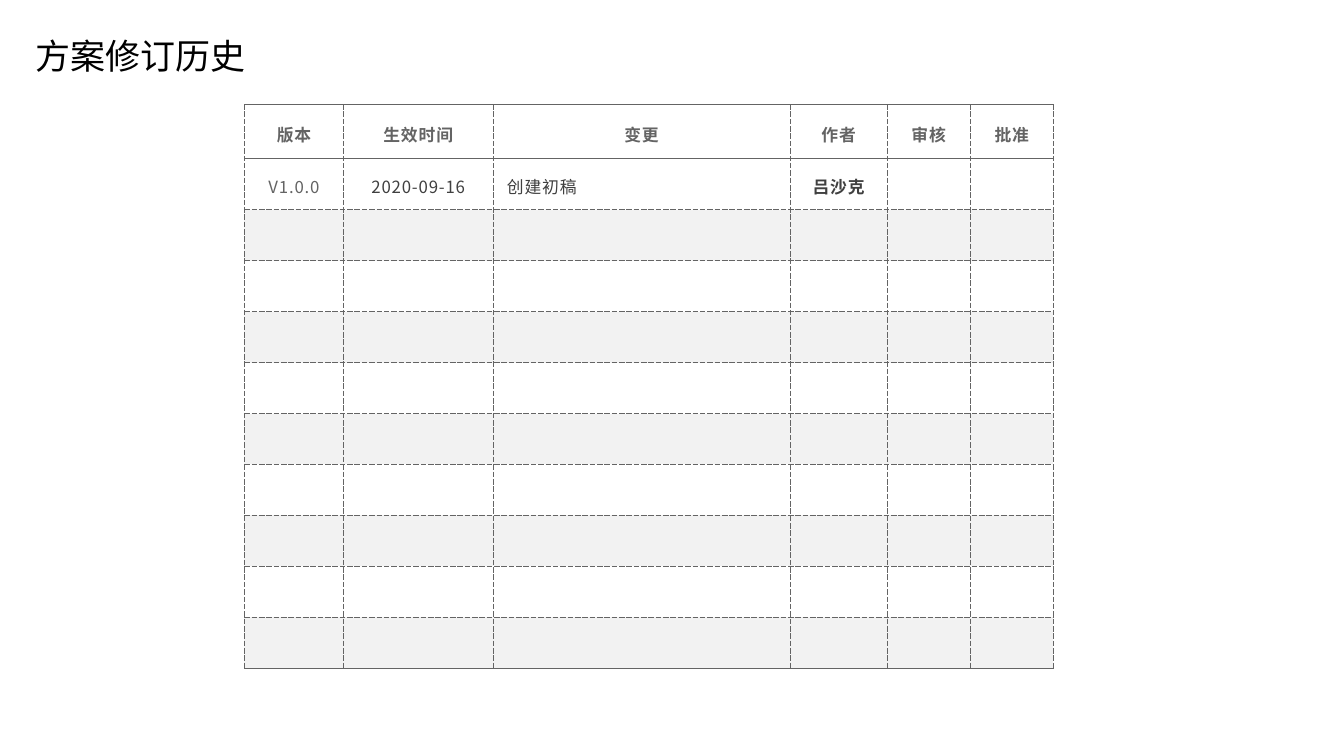
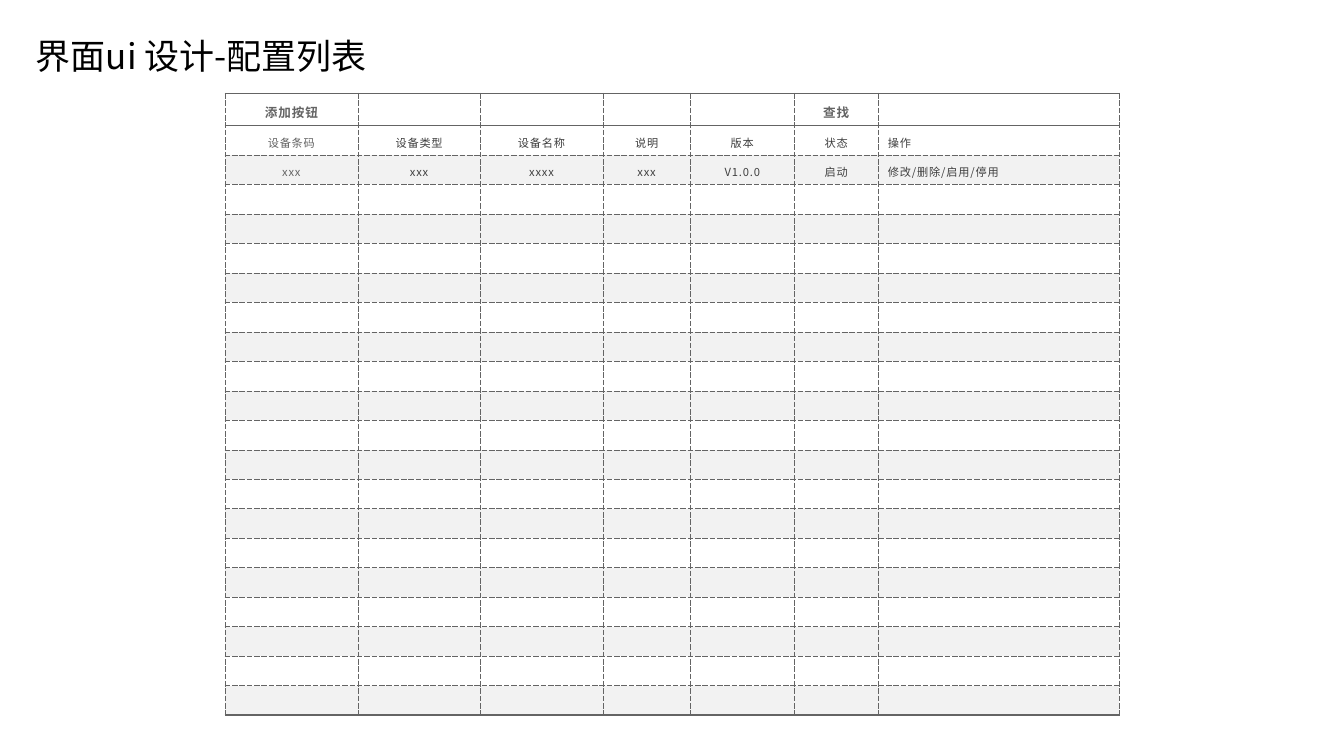
from lxml import etree
from pptx import Presentation
from pptx import util as u
from pptx.dml.color import RGBColor
from pptx.enum import text
from pptx.oxml import ns

COLORS = {
    "title": "000000",
    "grid": "646464",
    "heading": "646464",
    "body": "404040",
    "plain": "FFFFFF",
    "band": "F2F2F2",
}
FONT = "Noto Sans CJK SC"
THIN, THICK = 0.75, 2.25


def rgb(key):
    return RGBColor.from_string(COLORS[key])


class Deck:
    """Holds the shared style and the current slide."""

    def __init__(self):
        self.prs = Presentation()
        self.prs.slide_width = u.Cm(67.74)
        self.prs.slide_height = u.Cm(38.1)
        self.slide = None

    def add_run(self, paragraph, words, size, color, bold=False, spacing=0):
        run = paragraph.add_run()
        run.text = words
        font = run.font
        font.name, font.size, font.bold = FONT, u.Pt(size), bold
        font.color.rgb = rgb(color)
        props = run._r.get_or_add_rPr()
        etree.SubElement(props, ns.qn("a:ea"), typeface=FONT)
        if spacing:
            props.set("spc", str(round(spacing * 100)))

    def add_titled_slide(self, words, width):
        self.slide = self.prs.slides.add_slide(self.prs.slide_layouts[5])
        title = self.slide.shapes.title
        title.left, title.top = u.Cm(1.55), u.Cm(1.47)
        title.width, title.height = u.Cm(width), u.Cm(2.64)
        frame = title.text_frame
        frame.word_wrap = True
        frame.auto_size = text.MSO_AUTO_SIZE.SHAPE_TO_FIT_TEXT
        frame.vertical_anchor = text.MSO_ANCHOR.TOP
        frame.margin_left = frame.margin_right = u.Cm(0.25)
        frame.margin_top = frame.margin_bottom = u.Cm(0.25)
        heading = frame.paragraphs[0]
        heading.alignment = text.PP_ALIGN.LEFT
        self.add_run(heading, words, 50, "title")

    def add_borders(self, cell, top, bottom):
        """Thin borders are dashed, thick ones solid."""
        props = cell._tc.get_or_add_tcPr()
        for side, width in (("L", THIN), ("R", THIN), ("T", top), ("B", bottom)):
            line = etree.SubElement(props, ns.qn("a:ln" + side), w=str(u.Pt(width)))
            fill = etree.SubElement(line, ns.qn("a:solidFill"))
            etree.SubElement(fill, ns.qn("a:srgbClr"), val=COLORS["grid"])
            dash = "sysDash" if width == THIN else "solid"
            etree.SubElement(line, ns.qn("a:prstDash"), val=dash)

    def fill_cell(self, cell, words, margins, centred, **style):
        cell.margin_left = cell.margin_right = u.Cm(margins[0])
        cell.margin_top = cell.margin_bottom = u.Cm(margins[1])
        paragraph = cell.text_frame.paragraphs[0]
        paragraph.line_spacing = 1.2
        align = text.PP_ALIGN
        paragraph.alignment = align.CENTER if centred else align.LEFT
        self.add_run(paragraph, words, **style)

    def add_grid(self, place, columns, row_count, head_height, entries,
                 sizes, margins, left_column, bold_cells=()):
        left, top, height = place
        table = self.slide.shapes.add_table(
            row_count, len(columns), u.Cm(left), u.Cm(top),
            u.Cm(sum(columns)), u.Cm(height)).table
        table.first_row = table.horz_banding = False
        for column, width in zip(table.columns, columns):
            column.width = u.Cm(width)
        body_height = (height - head_height) / (row_count - 1)

        for r, row in enumerate(table.rows):
            is_head = r == 0
            row.height = u.Cm(body_height if r else head_height)
            for c, cell in enumerate(row.cells):
                cell.vertical_anchor = text.MSO_ANCHOR.MIDDLE
                self.add_borders(cell, THICK if r < 2 else THIN,
                                 THICK if r in (0, row_count - 1) else THIN)
                cell.fill.solid()
                banded = r > 0 and r % 2 == 0
                cell.fill.fore_color.rgb = rgb("band" if banded else "plain")
                words = entries[r][c] if r < len(entries) else ""
                if words:
                    self.fill_cell(
                        cell, words, margins,
                        centred=is_head or c != left_column,
                        size=sizes[0] if is_head else sizes[1],
                        color="heading" if is_head or c == 0 else "body",
                        bold=is_head or (r, c) in bold_cells,
                        spacing=1.3 if is_head else 1.2)


def main():
    deck = Deck()

    # Revision history
    deck.add_titled_slide("方案修订历史", 11.15)
    revisions = [
        ["版本", "生效时间", "变更", "作者", "审核", "批准"],
        ["V1.0.0", "2020-09-16", "创建初稿", "吕沙克", "", ""],
    ]
    deck.add_grid((12.32, 5.28, 28.4), [5, 7.52, 14.99, 4.88, 4.19, 4.19],
                  11, 2.72, revisions, sizes=(24, 24), margins=(0.71, 0.48),
                  left_column=2, bold_cells=[(1, 3)])

    # Configuration list
    deck.add_titled_slide("界面ui 设计-配置列表", 17.45)
    devices = [
        ["添加按钮", "", "", "", "", "查找", ""],
        ["设备条码", "设备类型", "设备名称", "说明", "版本", "状态", "操作"],
        ["xxx", "xxx", "xxxx", "xxx", "V1.0.0", "启动", "修改/删除/启用/停用"],
    ]
    deck.add_grid((11.33, 4.72, 31.32),
                  [6.71, 6.17, 6.17, 4.42, 5.23, 4.24, 12.12],
                  21, 1.6, devices, sizes=(18, 16), margins=(0.48, 0.3),
                  left_column=6)

    deck.prs.save("out.pptx")


if __name__ == "__main__":
    main()
